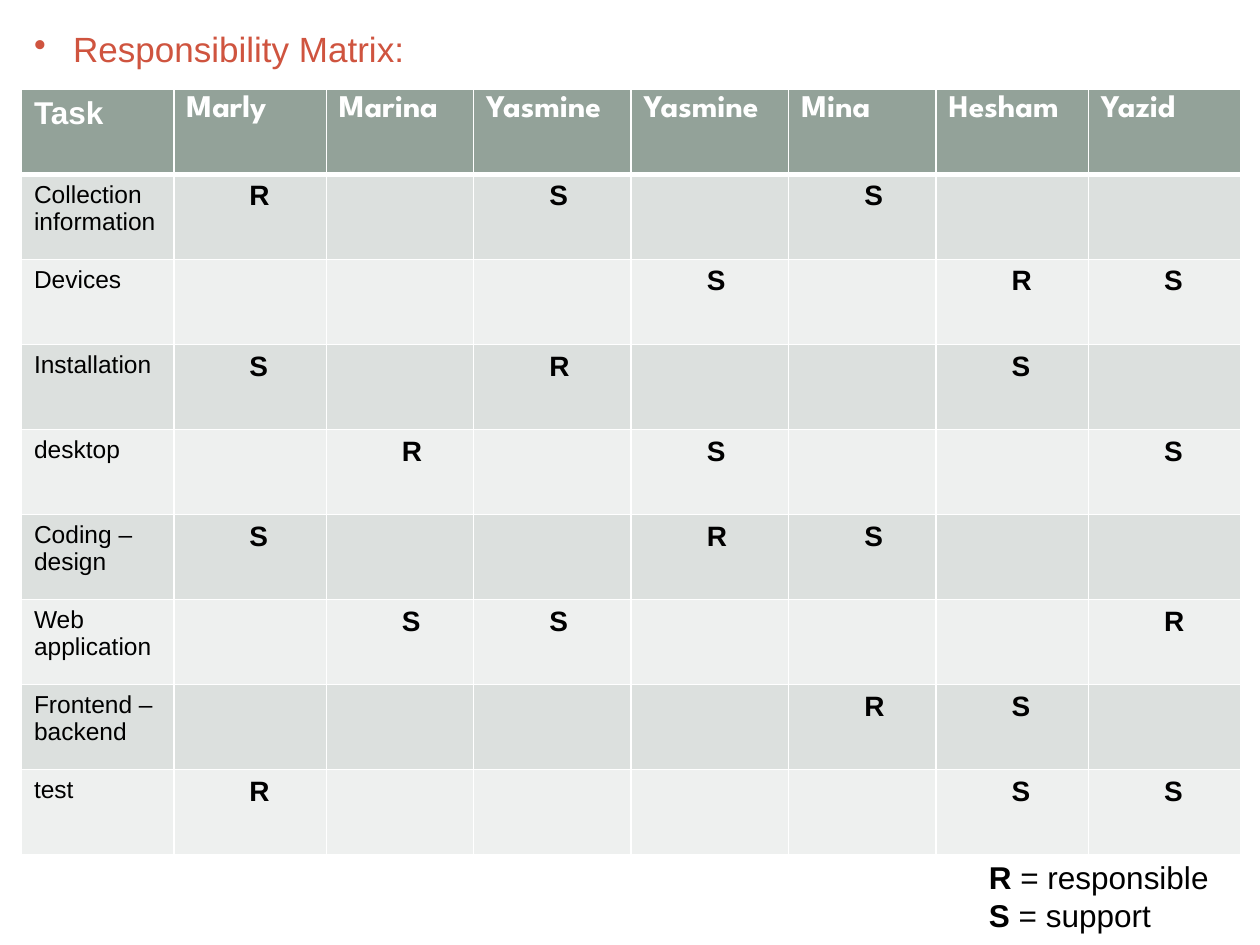
from pptx import Presentation
from pptx.dml.color import RGBColor
from pptx.enum.text import MSO_ANCHOR, MSO_AUTO_SIZE, PP_ALIGN
from pptx.oxml.ns import qn
from pptx.util import Inches, Pt
from lxml.etree import SubElement

COLORS = {"title": "CF543F", "head": "93A299", "odd": "DCE0DE",
          "even": "EEF0EF", "white": "FFFFFF", "black": "000000"}
TITLE = "Responsibility Matrix:"
HEAD = ["Task", "Marly", "Marina", "Yasmine", "Yasmine", "Mina", "Hesham", "Yazid"]
TASKS = [
    ("Collection information", {1: "R", 3: "S", 5: "S"}),
    ("Devices", {4: "S", 6: "R", 7: "S"}),
    ("Installation", {1: "S", 3: "R", 6: "S"}),
    ("desktop", {2: "R", 4: "S", 7: "S"}),
    ("Coding – design", {1: "S", 4: "R", 5: "S"}),
    ("Web application", {2: "S", 3: "S", 7: "R"}),
    ("Frontend – backend", {5: "R", 6: "S"}),
    ("test", {1: "R", 6: "S", 7: "S"}),
]
KEY = [("R", " = responsible"), ("S ", "= support")]
WIDTHS = [1.21, 1.21, 1.17, 1.25, 1.25, 1.17, 1.21, 1.21]
ROW = 0.675


def color(name):
    """Return the named colour."""
    return RGBColor.from_string(COLORS[name])


def style(font, size, hue, bold=False, face="Arial"):
    """Set the look of a font."""
    font.name, font.size, font.bold = face, Pt(size), bold
    font.color.rgb = color(hue)


def indent(para, left, first=0):
    """Set the left and first-line indents and return the properties."""
    props = para._p.get_or_add_pPr()
    props.set("marL", str(Inches(left)))
    props.set("indent", str(Inches(first)))
    return props


def border(cell, row):
    """Draw white cell edges, thick below the header."""
    props = cell._tc.get_or_add_tcPr()
    thick = {(0, "lnB"), (1, "lnT")}
    for side in ("lnL", "lnR", "lnT", "lnB"):
        width = Pt(3 if (row, side) in thick else 1)
        line = SubElement(props, qn(f"a:{side}"), w=str(width))
        fill = SubElement(line, qn("a:solidFill"))
        SubElement(fill, qn("a:srgbClr"), val=COLORS["white"])


def add_title(slide):
    """Fill and place the bulleted title."""
    title = slide.shapes.title
    title.left, title.top = Inches(0.17), Inches(0.17)
    title.width, title.height = Inches(7.67), Inches(0.44)
    frame = title.text_frame
    frame.text = TITLE
    frame.vertical_anchor = MSO_ANCHOR.TOP
    frame.auto_size = MSO_AUTO_SIZE.NONE
    para = frame.paragraphs[0]
    para.alignment = PP_ALIGN.LEFT
    style(para.font, 20, "title")
    props = indent(para, 0.31, -0.31)
    bullet = SubElement(props, qn("a:buChar"), char="•")
    props.insert(0, bullet)


def add_matrix(slide):
    """Build the task table."""
    rows = [HEAD] + [[task] + [marks.get(col, "") for col in range(1, len(HEAD))]
                     for task, marks in TASKS]
    table = slide.shapes.add_table(
        len(rows), len(HEAD), Inches(0.17), Inches(0.71),
        Inches(sum(WIDTHS)), Inches(ROW * len(rows))).table
    for col, width in zip(table.columns, WIDTHS):
        col.width = Inches(width)
    for r, texts in enumerate(rows):
        table.rows[r].height = Inches(ROW)
        for c, text in enumerate(texts):
            cell = table.cell(r, c)
            border(cell, r)
            cell.fill.solid()
            cell.fill.fore_color.rgb = color("head" if r == 0 else "odd" if r % 2 else "even")
            cell.text = text
            para = cell.text_frame.paragraphs[0]
            if r == 0:
                style(para.font, 18, "white", True, "League Spartan" if c else "Arial")
            elif c == 0:
                style(para.font, 14, "black")
            else:
                style(para.font, 16, "black", True)
                para.level = 1
                indent(para, 0.5)


def add_key(slide):
    """Explain the letters below the table."""
    box = slide.shapes.add_textbox(Inches(7.75), Inches(6.76), Inches(2.01), Inches(0.71))
    frame = box.text_frame
    frame.word_wrap = False
    for i, parts in enumerate(KEY):
        para = frame.add_paragraph() if i else frame.paragraphs[0]
        for text, bold in zip(parts, (True, False)):
            run = para.add_run()
            run.text = text
            style(run.font, 18, "black", bold)


def main():
    """Build and save the slide."""
    deck = Presentation()
    deck.slide_width, deck.slide_height = Inches(10), Inches(7.5)
    slide = deck.slides.add_slide(deck.slide_layouts[5])
    add_title(slide)
    add_matrix(slide)
    add_key(slide)
    deck.save("out.pptx")


if __name__ == "__main__":
    main()
